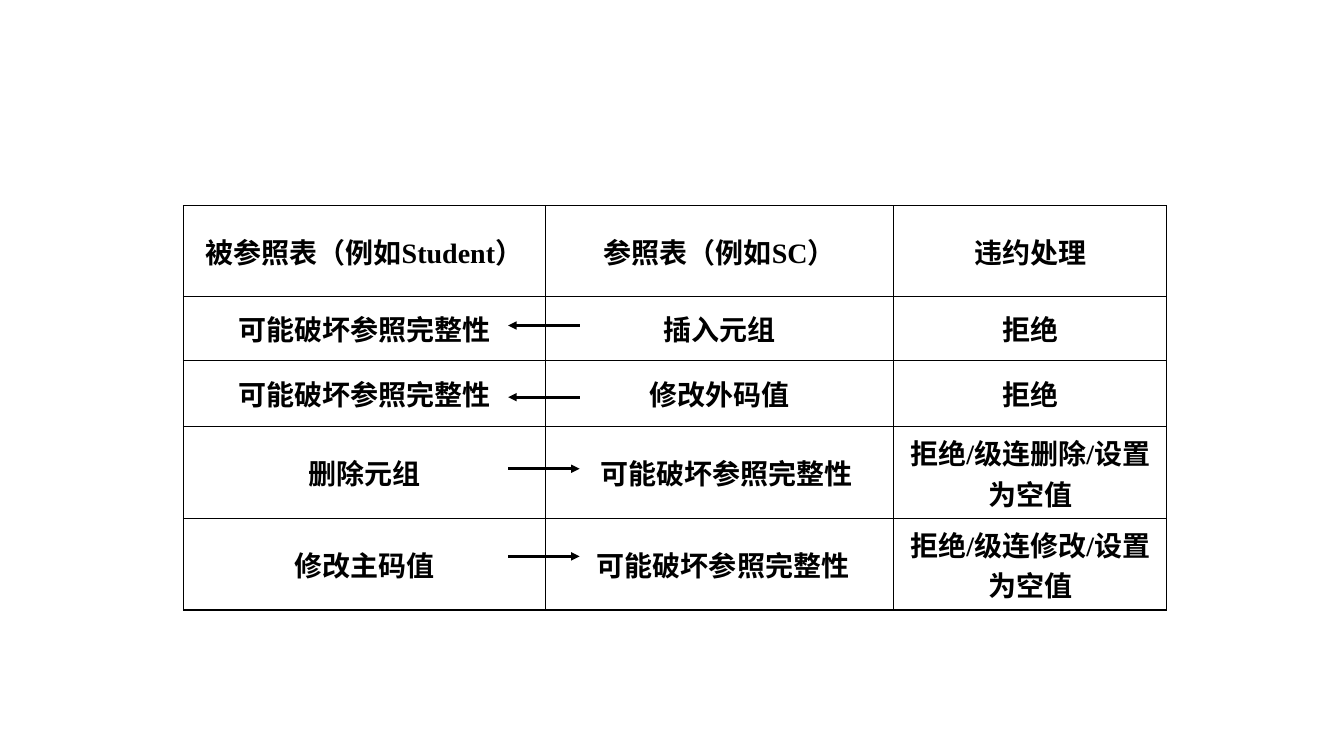
from lxml import etree
from pptx import Presentation
from pptx.dml.color import RGBColor
from pptx.enum.shapes import MSO_CONNECTOR
from pptx.enum.text import MSO_ANCHOR, PP_ALIGN
from pptx.oxml.ns import qn
from pptx.util import Pt

BLACK = RGBColor(0, 0, 0)
FONT = "Times New Roman"
CENTER = PP_ALIGN.CENTER
MIDDLE = MSO_ANCHOR.MIDDLE
LINE = MSO_CONNECTOR.STRAIGHT

RISK = "可能破坏参照完整性"
ROWS = [
    ("被参照表（例如Student）", "参照表（例如SC）", "违约处理"),
    (RISK, "插入元组", "拒绝"),
    (RISK, "修改外码值", "拒绝"),
    ("删除元组", RISK, "拒绝/级连删除/设置为空值"),
    ("修改主码值", RISK, "拒绝/级连修改/设置为空值"),
]
WIDTHS = [258.5, 249, 195]
HEIGHTS = [64.8, 45.5, 47.5, 65.5, 65.5]
INDENTS = {(3, 1): 10, (4, 1): 5}

LEFT_X, RIGHT_X = 363, 414
ARROWS = [
    (RIGHT_X, LEFT_X, 232.5),
    (RIGHT_X, LEFT_X, 283.7),
    (LEFT_X, RIGHT_X, 334.8),
    (LEFT_X, RIGHT_X, 397.4),
]


def add_borders(cell):
    """Draw a thin black line on all four sides of a cell."""
    props = cell._tc.get_or_add_tcPr()
    for spot, side in enumerate(("lnL", "lnR", "lnT", "lnB")):
        edge = etree.Element(qn("a:" + side), w=str(Pt(1)))
        fill = etree.SubElement(edge, qn("a:solidFill"))
        etree.SubElement(fill, qn("a:srgbClr"), val=str(BLACK))
        props.insert(spot, edge)


def add_arrow(slide, start, end, y):
    """Add a level arrow that points from start to end."""
    arrow = slide.shapes.add_connector(LINE, Pt(start), Pt(y), Pt(end), Pt(y))
    arrow.line.color.rgb = BLACK
    arrow.line.width = Pt(2)
    etree.SubElement(arrow.line._get_or_add_ln(), qn("a:tailEnd"), type="triangle")
    etree.SubElement(arrow._element.spPr, qn("a:effectLst"))


deck = Presentation()
deck.slide_width, deck.slide_height = Pt(960), Pt(540)
slide = deck.slides.add_slide(deck.slide_layouts[6])

frame = slide.shapes.add_table(
    len(ROWS), len(WIDTHS), Pt(131), Pt(147), Pt(sum(WIDTHS)), Pt(sum(HEIGHTS))
)
table = frame.table
table.first_row = table.horz_banding = False
for column, width in zip(table.columns, WIDTHS):
    column.width = Pt(width)

for i, (texts, height) in enumerate(zip(ROWS, HEIGHTS)):
    table.rows[i].height = Pt(height)
    for j, text in enumerate(texts):
        cell = table.cell(i, j)
        cell.fill.background()
        add_borders(cell)
        cell.vertical_anchor = MIDDLE
        cell.margin_left = Pt(7.2 + INDENTS.get((i, j), 0))
        cell.margin_right = Pt(7.2)
        cell.margin_top = cell.margin_bottom = Pt(3.6)
        para = cell.text_frame.paragraphs[0]
        para.alignment = CENTER
        run = para.add_run()
        run.text = text
        run.font.name = FONT
        run.font.size = Pt(20)
        run.font.bold = True
        run.font.color.rgb = BLACK

for start, end, y in ARROWS:
    add_arrow(slide, start, end, y)

deck.save("out.pptx")
